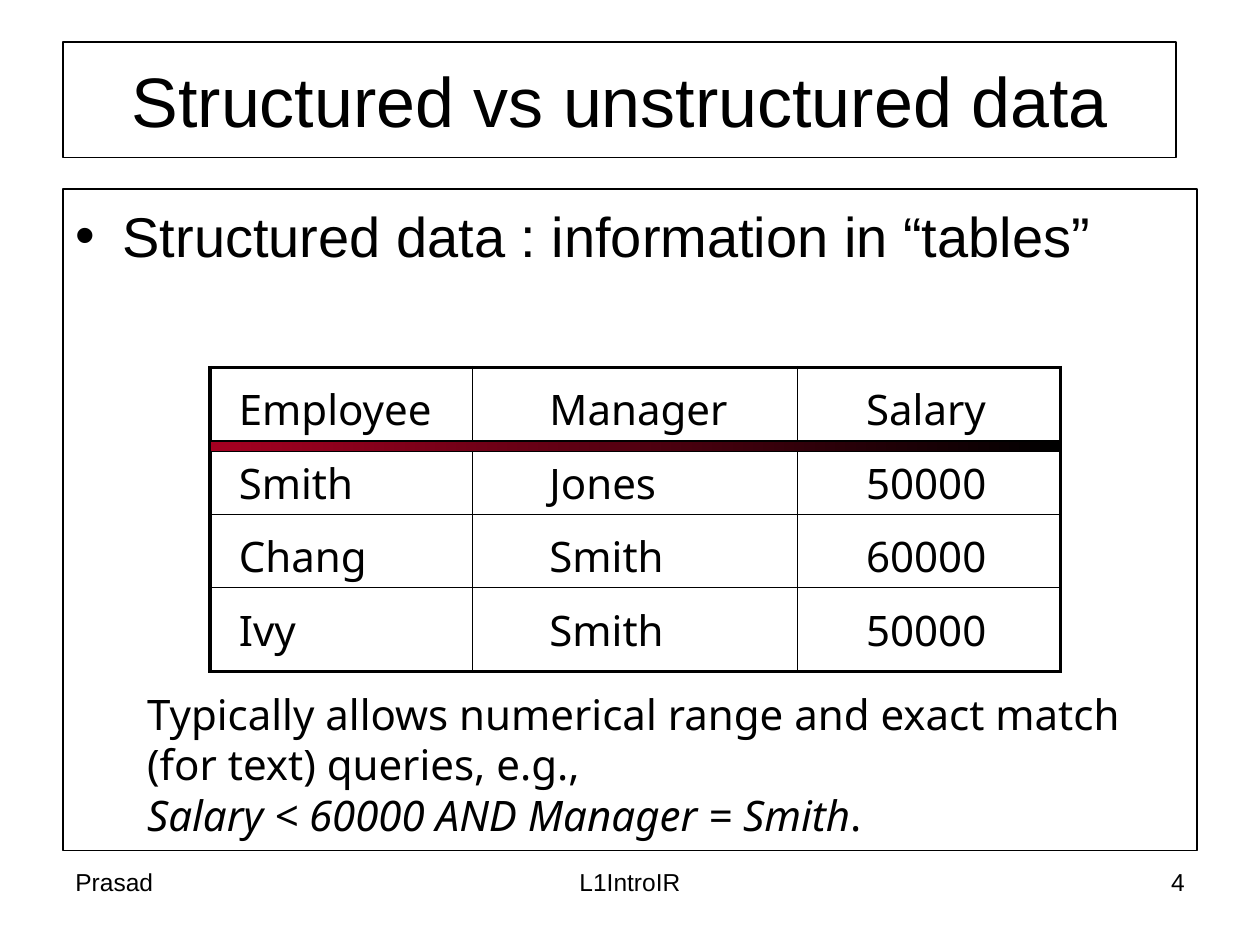
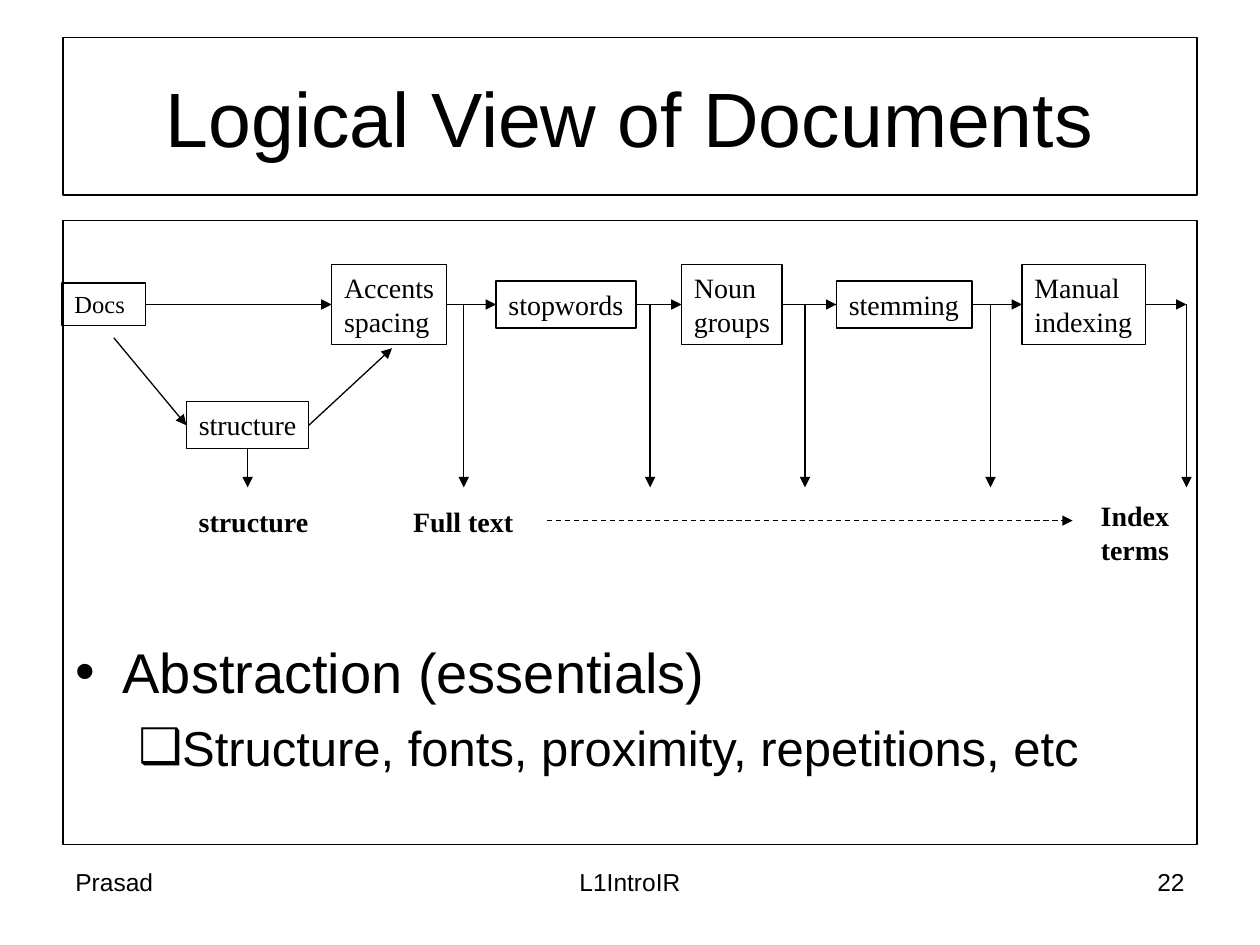
from lxml.etree import SubElement
from pptx import Presentation
from pptx.dml.color import RGBColor
from pptx.enum.dml import MSO_LINE
from pptx.enum.shapes import MSO_CONNECTOR, MSO_SHAPE
from pptx.enum.text import MSO_ANCHOR, PP_ALIGN
from pptx.oxml.ns import qn
from pptx.util import Pt

COLORS = {"ink": "000000", "band": "A50021"}
THIN, THICK = 0.75, 2
TOP, LEFT, BOTTOM, RIGHT = range(4)

FONTS = {
    "title": {"name": "Arial", "size": Pt(40)},
    "large_title": {"name": "Arial", "size": Pt(44)},
    "body": {"name": "Arial", "size": Pt(32)},
    "sub_body": {"name": "Arial", "size": Pt(28)},
    "footer": {"name": "Arial", "size": Pt(14)},
    "table": {"name": "Noto Sans", "size": Pt(24)},
    "step": {"name": "Times New Roman", "size": Pt(16)},
    "small_step": {"name": "Times New Roman", "size": Pt(14)},
    "label": {"name": "Times New Roman", "size": Pt(16), "bold": True},
}


def color(name):
    return RGBColor.from_string(COLORS[name])


def apply(target, values):
    for name, value in values.items():
        setattr(target, name, value)


def is_point(place):
    return isinstance(place[0], (int, float))


class Deck:
    def __init__(self):
        self.presentation = Presentation()
        apply(self.presentation, {"slide_width": Pt(720), "slide_height": Pt(540)})
        self.slide = None

    def new_slide(self, number):
        self.slide = self.presentation.slides.add_slide(self.presentation.slide_layouts[6])
        footers = [
            (36, 168, "Prasad", PP_ALIGN.LEFT),
            (246, 228, "L1IntroIR", PP_ALIGN.CENTER),
            (516, 168, str(number), PP_ALIGN.RIGHT),
        ]
        for left, width, words, alignment in footers:
            self.text((left, 492, width, 37), [words], "footer", alignment, word_wrap=True)

    def add_runs(self, paragraph, runs, font, alignment=PP_ALIGN.LEFT):
        paragraph.alignment = alignment
        for words, extra in [(runs, {})] if isinstance(runs, str) else runs:
            run = paragraph.add_run()
            run.text = words
            apply(run.font, {**FONTS[font], **extra})
            run.font.color.rgb = color("ink")

    def fill_frame(self, frame, lines, font, alignment=PP_ALIGN.LEFT, **values):
        apply(frame, {"word_wrap": False, "vertical_anchor": MSO_ANCHOR.TOP, **values})
        for index, runs in enumerate(lines):
            paragraph = frame.add_paragraph() if index else frame.paragraphs[0]
            self.add_runs(paragraph, runs, font, alignment)

    def text(self, area, lines, font, alignment=PP_ALIGN.LEFT, **values):
        shape = self.slide.shapes.add_textbox(*map(Pt, area))
        self.fill_frame(shape.text_frame, lines, font, alignment, **values)

    def box(self, area, lines=(), font="step", alignment=PP_ALIGN.LEFT, **values):
        shape = self.slide.shapes.add_shape(MSO_SHAPE.RECTANGLE, *map(Pt, area))
        shape.shadow.inherit = False
        shape.fill.background()
        shape.line.color.rgb = color("ink")
        shape.line.width = Pt(THIN)
        self.fill_frame(shape.text_frame, lines, font, alignment, **values)
        return shape

    def title(self, area, words, font):
        self.box(area, [words], font, PP_ALIGN.CENTER,
                 vertical_anchor=MSO_ANCHOR.MIDDLE, word_wrap=True)

    def body(self, area, bullets, margin_top):
        frame = self.box(area, word_wrap=True, margin_top=Pt(margin_top)).text_frame
        for index, (words, font, symbol, margin, indent, space) in enumerate(bullets):
            paragraph = frame.add_paragraph() if index else frame.paragraphs[0]
            properties = paragraph._p.get_or_add_pPr()
            properties.set("marL", str(Pt(margin)))
            properties.set("indent", str(Pt(-indent)))
            bullet_color = SubElement(properties, qn("a:buClr"))
            SubElement(bullet_color, qn("a:srgbClr"), val=COLORS["ink"])
            SubElement(properties, qn("a:buFont"), typeface="Arial")
            SubElement(properties, qn("a:buChar"), char=symbol)
            if index:
                paragraph.space_before = Pt(space)
            self.add_runs(paragraph, words, font)

    def border(self, cell, side, width):
        line = SubElement(cell._tc.get_or_add_tcPr(), qn(f"a:ln{side}"), w=str(Pt(width)))
        fill = SubElement(line, qn("a:solidFill"))
        SubElement(fill, qn("a:srgbClr"), val=COLORS["ink"])

    def table(self, left, top, rows, heights, widths, text_margins):
        area = (left, top, sum(widths), sum(heights))
        table = self.slide.shapes.add_table(len(rows), len(widths), *map(Pt, area)).table
        apply(table, {"first_row": False, "horz_banding": False})
        for column, width in zip(table.columns, widths):
            column.width = Pt(width)
        last_row, last_column = len(rows) - 1, len(widths) - 1
        for row_index, row in enumerate(rows):
            table.rows[row_index].height = Pt(heights[row_index])
            for column_index, words in enumerate(row):
                cell = table.cell(row_index, column_index)
                apply(cell, {"margin_left": Pt(text_margins[column_index]), "margin_right": 0,
                             "margin_top": Pt(7.6), "margin_bottom": 0})
                outer_sides = {"L": column_index == 0, "R": column_index == last_column,
                               "T": row_index == 0, "B": row_index == last_row}
                for side, outer in outer_sides.items():
                    self.border(cell, side, THICK if outer else THIN)
                cell.fill.background()
                self.add_runs(cell.text_frame.paragraphs[0], words, "table")

    def gradient_band(self, area):
        band = self.box(area)
        band.fill.gradient()
        band.fill.gradient_angle = 0
        for stop, name in zip(band.fill.gradient_stops, ("band", "ink")):
            stop.color.rgb = color(name)

    def arrow(self, start, end, dashed=False):
        points = [place if is_point(place) else (0, 0) for place in (start, end)]
        connector = self.slide.shapes.add_connector(
            MSO_CONNECTOR.STRAIGHT, *map(Pt, points[0] + points[1]))
        for place, connect in ((start, connector.begin_connect), (end, connector.end_connect)):
            if not is_point(place):
                connect(*place)
        connector.line.color.rgb = color("ink")
        connector.line.width = Pt(THIN)
        if dashed:
            connector.line.dash_style = MSO_LINE.DASH
        outline = connector._element.spPr.find(qn("a:ln"))
        SubElement(outline, qn("a:tailEnd"), type="triangle")
        SubElement(connector._element.spPr, qn("a:effectLst"))


def structured_data(deck):
    deck.new_slide(4)
    deck.title((36, 24, 636, 66), "Structured vs unstructured data", "title")
    deck.body((36, 108, 648, 378), [
        ("Structured data : information in “tables”", "body", "•", 27, 27, 0),
    ], margin_top=7)
    rows = [
        ("Employee", "Manager", "Salary"),
        ("Smith", "Jones", "50000"),
        ("Chang", "Smith", "60000"),
        ("Ivy", "Smith", "50000"),
    ]
    deck.table(120, 210, rows, (42, 42, 42, 48), (150, 186, 150), (16.5, 44, 39))
    deck.gradient_band((120, 252, 486, 6))
    deck.text((77, 389.5, 572, 94), [
        "Typically allows numerical range and exact match",
        "(for text) queries, e.g.,",
        [("Salary < 60000 AND Manager = Smith", {"italic": True}), (".", {})],
    ], "table", vertical_anchor=MSO_ANCHOR.MIDDLE)


def logical_view(deck):
    deck.new_slide(22)
    deck.title((36, 21.5, 648, 90), "Logical View of Documents", "large_title")
    deck.body((36, 126, 648, 356.5), [
        ("Abstraction (essentials)", "body", "•", 27, 27, 0),
        ("Structure, fonts, proximity, repetitions, etc", "sub_body", "❑", 58.5, 22.5, 7),
    ], margin_top=238.5)

    flow_y, outcome_y = 174, 278.5
    step_specs = [
        (35.5, 47.5, 24.5, ["Docs"], "small_step"),
        (189.5, 65.5, 46, ["Accents", "spacing"], "step"),
        (283.5, 80, 27, ["stopwords"], "step"),
        (389.5, 57.5, 46, ["Noun", "groups"], "step"),
        (478, 77.5, 27, ["stemming"], "step"),
        (584, 70.5, 46, ["Manual", "indexing"], "step"),
    ]
    steps = [deck.box((left, flow_y - height / 2, width, height), lines, font)
             for left, width, height, lines, font in step_specs]
    for source, target in zip(steps, steps[1:]):
        deck.arrow((source, RIGHT), (target, LEFT))
    deck.arrow((steps[-1], RIGHT), (678, flow_y))
    for outcome_x in (265, 371.5, 460, 566, 678):
        deck.arrow((outcome_x, flow_y), (outcome_x, outcome_y))

    structure = deck.box((106.5, 229.5, 70, 27), ["structure"])
    deck.arrow((65, 193), (structure, LEFT))
    deck.arrow((structure, RIGHT), (224, 199))
    deck.arrow((structure, BOTTOM), (141.5, outcome_y))

    deck.text((106.5, 285, 77, 27), ["structure"], "label")
    deck.text((229, 285, 78, 27), ["Full text"], "label")
    deck.text((620, 281.5, 57, 46), ["Index", "terms"], "label", PP_ALIGN.CENTER)
    deck.arrow((312.5, 297.5), (613, 297.5), dashed=True)


def main():
    deck = Deck()
    structured_data(deck)
    logical_view(deck)
    deck.presentation.save("out.pptx")


if __name__ == "__main__":
    main()
